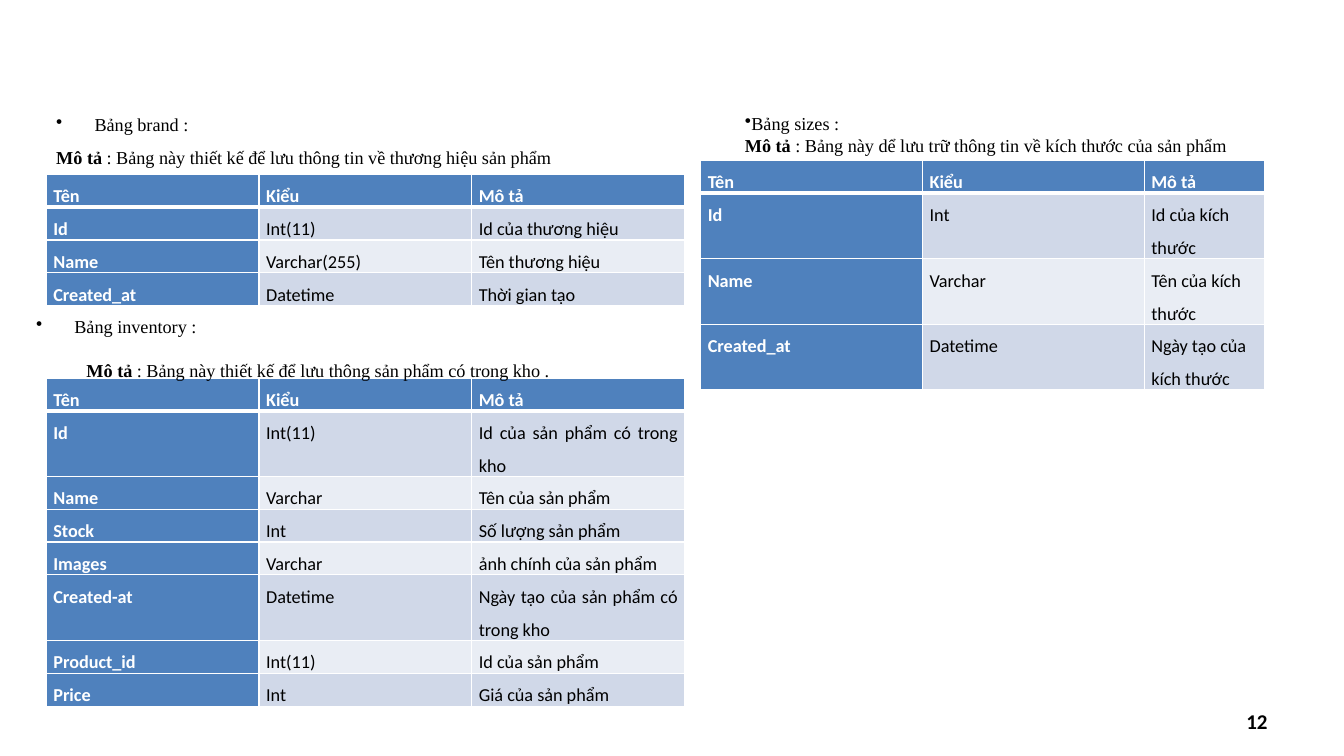
from lxml import etree
from pptx import Presentation
from pptx import util as u
from pptx.dml.color import RGBColor
from pptx.enum import text
from pptx.oxml import ns

PX = 9144  # EMU: 100 px to the inch

BLACK = RGBColor(0x00, 0x00, 0x00)
WHITE = RGBColor(0xFF, 0xFF, 0xFF)
BLUE = RGBColor(0x4F, 0x81, 0xBD)
BANDS = (RGBColor(0xD0, 0xD8, 0xE8), RGBColor(0xE9, 0xED, 0xF4))

LEFT, JUSTIFY, RIGHT = text.PP_ALIGN.LEFT, text.PP_ALIGN.JUSTIFY, text.PP_ALIGN.RIGHT
HEADER = ("Tên", "Kiểu", "Mô tả")

BRAND_ROWS = (
    HEADER,
    ("Id", "Int(11)", "Id của thương hiệu"),
    ("Name", "Varchar(255)", "Tên thương hiệu"),
    ("Created_at", "Datetime", "Thời gian tạo"),
)
INVENTORY_ROWS = (
    HEADER,
    ("Id", "Int(11)", "Id của sản phẩm có trong kho"),
    ("Name", "Varchar", "Tên của sản phẩm"),
    ("Stock", "Int", "Số lượng sản phẩm"),
    ("Images", "Varchar", "ảnh chính của sản phẩm"),
    ("Created-at", "Datetime", "Ngày tạo của sản phẩm có trong kho"),
    ("Product_id", "Int(11)", "Id của sản phẩm"),
    ("Price", "Int", "Giá của sản phẩm"),
)
SIZES_ROWS = (
    HEADER,
    ("Id", "Int", "Id của kích thước"),
    ("Name", "Varchar", "Tên của kích thước"),
    ("Created_at", "Datetime", "Ngày tạo của kích thước"),
)


def set_font(para, name, size, color, bold=False):
    font = para.font
    font.name, font.size, font.bold = name, u.Pt(size), bold
    font.color.rgb = color


def space_out(para):
    para.line_spacing = 1.5
    para.space_after = u.Pt(8)


def indent(para, margin, first_line, bullet=False):
    props = para._p.get_or_add_pPr()
    props.set("marL", str(margin * PX))
    props.set("indent", str(first_line * PX))
    if bullet:
        mark = etree.Element(ns.qn("a:buChar"), char="•")
        props.insert_element_before(mark, "a:tabLst", "a:defRPr", "a:extLst")


def add_borders(cell, top, bottom):
    """Draw white cell borders; top and bottom are widths in points."""
    props = cell._tc.get_or_add_tcPr()
    for place, (side, width) in enumerate((("L", 1), ("R", 1), ("T", top), ("B", bottom))):
        line = etree.Element(ns.qn(f"a:ln{side}"), w=str(u.Pt(width)))
        fill = etree.SubElement(line, ns.qn("a:solidFill"))
        etree.SubElement(fill, ns.qn("a:srgbClr"), val=str(WHITE))
        props.insert(place, line)


def add_field_table(page, left, top, widths, heights, rows, align):
    frame = page.shapes.add_table(len(rows), len(widths), left * PX, top * PX,
                                  sum(widths) * PX, sum(heights) * PX)
    table = frame.table
    for column, width in zip(table.columns, widths):
        column.width = width * PX
    for row, height in zip(table.rows, heights):
        row.height = height * PX
    for i, words in enumerate(rows):
        for j, word in enumerate(words):
            cell = table.cell(i, j)
            heading = i == 0 or j == 0
            cell.margin_left = cell.margin_right = 7 * PX
            cell.margin_top = cell.margin_bottom = 0
            cell.fill.solid()
            cell.fill.fore_color.rgb = BLUE if heading else BANDS[(i - 1) % 2]
            add_borders(cell, top=3 if i == 1 else 1, bottom=3 if i == 0 else 1)
            para = cell.text_frame.paragraphs[0]
            para.text = word
            para.alignment = align
            set_font(para, "Calibri", 13, WHITE if heading else BLACK, heading)
            space_out(para)


def add_caption(page, left, top, width, height, title, description):
    """Add a table's title and description; return the box and both paragraphs."""
    box = page.shapes.add_textbox(left * PX, top * PX, width * PX, height * PX)
    frame = box.text_frame
    frame.word_wrap = True
    frame.auto_size = text.MSO_AUTO_SIZE.SHAPE_TO_FIT_TEXT
    first, second = frame.paragraphs[0], frame.add_paragraph()
    first.text = title
    for para in (first, second):
        set_font(para, "Times New Roman", 13, BLACK)
    label = second.add_run()
    label.text = "Mô tả"
    label.font.bold = True
    second.add_run().text = f" : {description}"
    return box, first, second


def add_brand(page, left, top):
    add_field_table(page, left, top + 76, [211] * 3, [32] * 4, BRAND_ROWS, JUSTIFY)
    _, title, _ = add_caption(page, left, top, 667, 76, "Bảng brand :",
                              "Bảng này thiết kế để lưu thông tin về thương hiệu sản phẩm")
    title.alignment = JUSTIFY
    indent(title, 38, -38, bullet=True)
    space_out(title)


def add_inventory(page, left, top):
    add_field_table(page, left + 20, top + 78, [211] * 3, [32] * 8, INVENTORY_ROWS, JUSTIFY)
    _, title, about = add_caption(page, left, top, 673, 83, "Bảng inventory :",
                                  "Bảng này thiết kế để lưu thông sản phẩm có trong kho .")
    indent(title, 38, -38, bullet=True)
    indent(about, 0, 50)
    for para in (title, about):
        para.alignment = JUSTIFY
        space_out(para)


def add_sizes(page, left, top):
    add_field_table(page, left + 16, top + 53, [220, 220, 119], [24, 51, 51, 51],
                    SIZES_ROWS, LEFT)
    box, title, about = add_caption(page, left, top, 558, 54, "Bảng sizes :",
                                    "Bảng này dể lưu trữ thông tin về kích thước của sản phẩm")
    box.text_frame.word_wrap = False
    box.text_frame.vertical_anchor = text.MSO_ANCHOR.MIDDLE
    indent(title, 0, 50, bullet=True)
    indent(about, 0, 50)


def add_page_number(page, left, top, width, height):
    box = page.shapes.add_textbox(left * PX, top * PX, width * PX, height * PX)
    box.text_frame.word_wrap = True
    box.text_frame.vertical_anchor = text.MSO_ANCHOR.MIDDLE
    para = box.text_frame.paragraphs[0]
    para.text = "12"
    para.alignment = RIGHT
    set_font(para, "Calibri", 15, BLACK, bold=True)


def main():
    deck = Presentation()
    deck.slide_width, deck.slide_height = 1333 * PX, 750 * PX
    page = deck.slides.add_slide(deck.slide_layouts[6])
    add_page_number(page, 956, 695, 311, 40)
    add_brand(page, 46, 97)
    add_inventory(page, 26, 297)
    add_sizes(page, 679, 106)
    deck.save("out.pptx")


if __name__ == "__main__":
    main()
